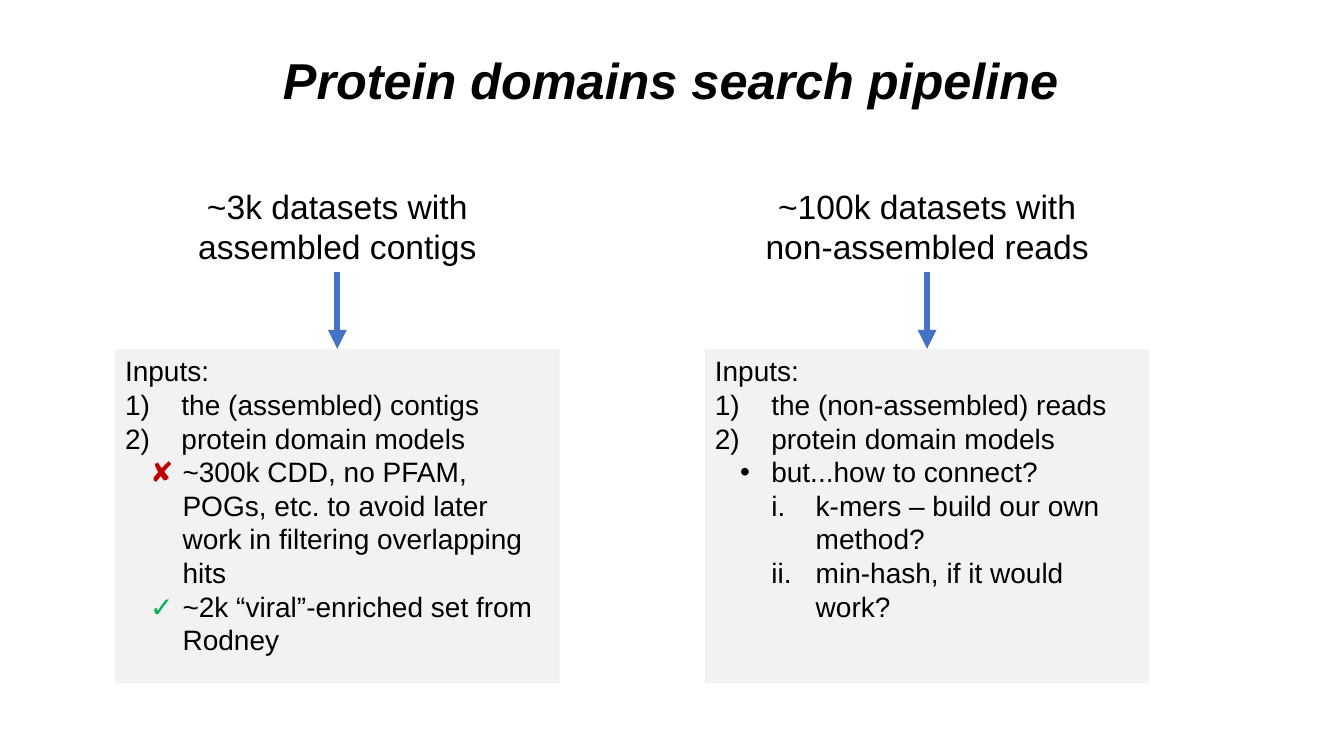
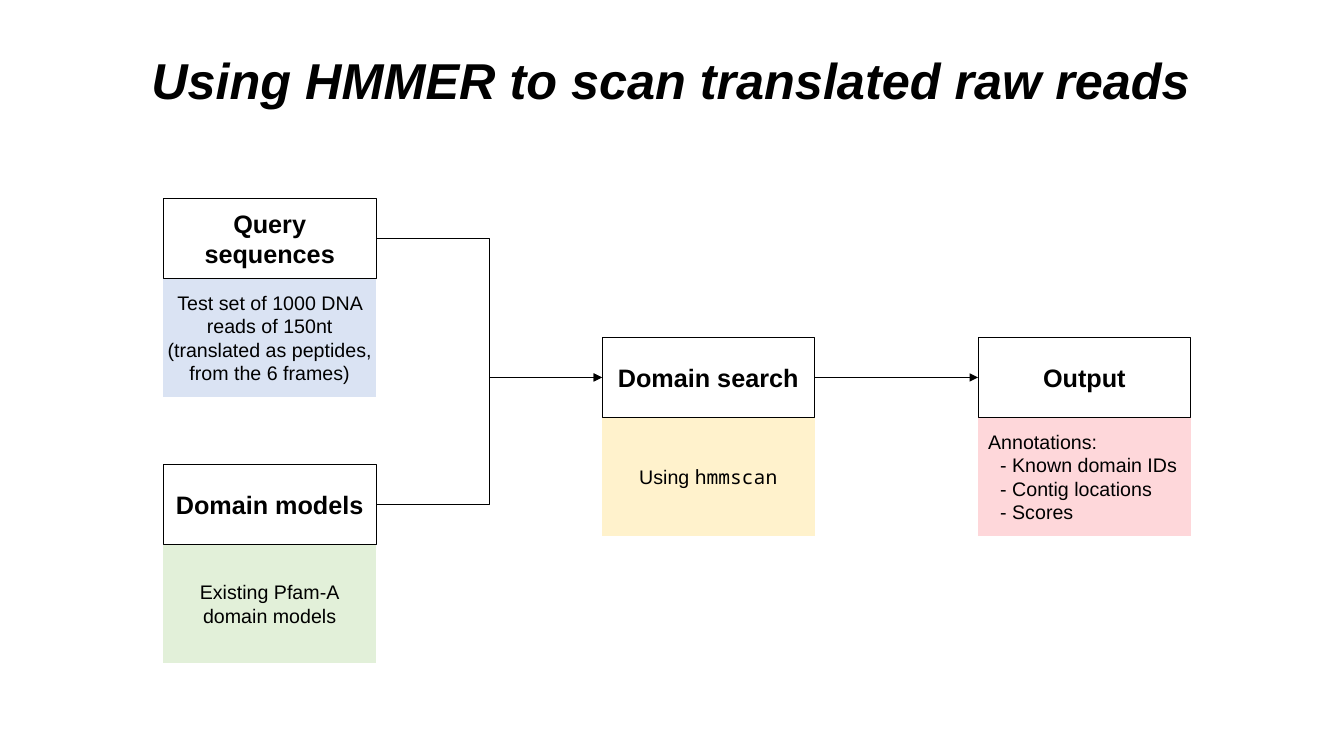
import pptx
import pptx.util
import pptx.dml.color
import pptx.enum.shapes
import pptx.enum.text
import pptx.oxml
import pptx.oxml.ns
import lxml.etree

Inches = pptx.util.Inches
Pt = pptx.util.Pt
Align = pptx.enum.text.PP_ALIGN
Anchor = pptx.enum.text.MSO_ANCHOR
Connector = pptx.enum.shapes.MSO_CONNECTOR
qn = pptx.oxml.ns.qn

BLACK, WHITE, PANEL, ARROW = "000000", "FFFFFF", "F2F2F2", "4472C4"


def color(hex_code):
    return pptx.dml.color.RGBColor.from_string(hex_code)


def style(paragraph, size, align=Align.CENTER, bold=False, italic=False):
    paragraph.alignment = align
    paragraph.space_before = Pt(0)
    font = paragraph.font
    font.name, font.size = "Arial", Pt(size)
    font.bold, font.italic = bold, italic
    font.color.rgb = color(BLACK)


deck = pptx.Presentation()
deck.slide_width, deck.slide_height = Inches(13.33), Inches(7.5)
pipeline = deck.slides.add_slide(deck.slide_layouts[3])
scan = deck.slides.add_slide(deck.slide_layouts[5])

for slide, heading in (
    (pipeline, "Protein domains search pipeline"),
    (scan, "Using HMMER to scan translated raw reads"),
):
    title = slide.shapes.title
    title.left, title.top = Inches(0.47), Inches(0.43)
    title.width, title.height = Inches(12.37), Inches(0.71)
    title.text_frame.text = heading
    title.text_frame.auto_size = pptx.enum.text.MSO_AUTO_SIZE.NONE
    title.text_frame.vertical_anchor = Anchor.MIDDLE
    style(title.text_frame.paragraphs[0], 36, bold=True, italic=True)

arrows = []

PANEL_WIDTH = 4.41
LABEL_TOP, LABEL_HEIGHT = 1.79, 0.91
PANEL_TOP, PANEL_HEIGHT = 3.46, 3.32

PLAIN = (0, 0, 0, "buNone", {})
NUMBER = (0, 0.56, -0.56, "buAutoNum", {"type": "arabicParenR"})
MARK = (1, 0.57, -0.32, "buNone", {})
DOT = (1, 0.56, -0.31, "buChar", {"char": "•"})
ROMAN = (2, 1, -0.44, "buAutoNum", {"type": "romanLcPeriod"})

datasets = [
    (1.14, "~3k datasets with\nassembled contigs", [
        (PLAIN, [("Inputs:", BLACK)]),
        (NUMBER, [("the (assembled) contigs", BLACK)]),
        (NUMBER, [("protein domain models", BLACK)]),
        (MARK, [("✘\t", "C00000"),
                ("~300k CDD, no PFAM, POGs, etc. to avoid later work "
                 "in filtering overlapping hits", BLACK)]),
        (MARK, [("✓\t", "00B050"),
                ("~2k “viral”-enriched set from Rodney", BLACK)]),
    ]),
    (6.99, "~100k datasets with\nnon-assembled reads", [
        (PLAIN, [("Inputs:", BLACK)]),
        (NUMBER, [("the (non-assembled) reads", BLACK)]),
        (NUMBER, [("protein domain models", BLACK)]),
        (DOT, [("but...how to connect?", BLACK)]),
        (ROMAN, [("k-mers – build our own method?", BLACK)]),
        (ROMAN, [("min-hash, if it would work?", BLACK)]),
    ]),
]

for (left, dataset, inputs), panel in zip(datasets, list(pipeline.placeholders)[1:]):
    label = pipeline.shapes.add_textbox(
        Inches(left), Inches(LABEL_TOP), Inches(PANEL_WIDTH), Inches(LABEL_HEIGHT))
    label.text_frame.word_wrap = True
    label.text_frame.text = dataset
    for paragraph in label.text_frame.paragraphs:
        style(paragraph, 24)

    panel.left, panel.top = Inches(left), Inches(PANEL_TOP)
    panel.width, panel.height = Inches(PANEL_WIDTH), Inches(PANEL_HEIGHT)
    panel.fill.solid()
    panel.fill.fore_color.rgb = color(PANEL)
    panel.text_frame.auto_size = pptx.enum.text.MSO_AUTO_SIZE.NONE
    for index, (layout, parts) in enumerate(inputs):
        level, margin, indent, bullet, settings = layout
        frame = panel.text_frame
        paragraph = frame.add_paragraph() if index else frame.paragraphs[0]
        paragraph.level = level
        properties = paragraph._p.get_or_add_pPr()
        properties.set("marL", str(Inches(margin)))
        properties.set("indent", str(Inches(indent)))
        lxml.etree.SubElement(properties, qn("a:" + bullet), settings)
        style(paragraph, 20, Align.LEFT)
        for words, ink in parts:
            run = paragraph.add_run()
            run.text = words
            if ink != BLACK:
                run.font.color.rgb = color(ink)

    middle = Inches(left + PANEL_WIDTH / 2)
    arrow = pipeline.shapes.add_connector(
        Connector.STRAIGHT, middle, Inches(LABEL_TOP + LABEL_HEIGHT),
        middle, Inches(PANEL_TOP))
    arrows.append((arrow, ARROW, 4.5))

CARD_WIDTH, HEAD_HEIGHT, DETAIL_HEIGHT = 2.11, 0.79, 1.18
INPUT_LEFT, SEARCH_LEFT, OUTPUT_LEFT = 1.62, 5.97, 9.7
QUERY_TOP, SEARCH_TOP, MODELS_TOP = 1.97, 3.35, 4.61

steps = [
    (INPUT_LEFT, QUERY_TOP, "Query\nsequences", "DAE3F3", Align.CENTER,
     "Test set of 1000 DNA reads of 150nt (translated as peptides, from the 6 frames)"),
    (INPUT_LEFT, MODELS_TOP, "Domain models", "E2F0D9", Align.CENTER,
     "Existing Pfam-A\ndomain models"),
    (SEARCH_LEFT, SEARCH_TOP, "Domain search", "FFF2CC", Align.CENTER, "Using "),
    (OUTPUT_LEFT, SEARCH_TOP, "Output", "FED7DA", Align.LEFT,
     "Annotations:\n- Known domain IDs\n- Contig locations\n- Scores"),
]

heads, details = [], []
for left, top, name, tint, align, description in steps:
    for part_top, height, fill, words, size, side, cards in (
        (top + HEAD_HEIGHT, DETAIL_HEIGHT, tint, description, 14, align, details),
        (top, HEAD_HEIGHT, WHITE, name, 18, Align.CENTER, heads),
    ):
        card = scan.shapes.add_shape(
            pptx.enum.shapes.MSO_SHAPE.FLOWCHART_PROCESS,
            Inches(left), Inches(part_top), Inches(CARD_WIDTH), Inches(height))
        card.shadow.inherit = False
        card.fill.solid()
        card.fill.fore_color.rgb = color(fill)
        if cards is heads:
            card.line.color.rgb = color(BLACK)
            card.line.width = Pt(0.5)
        else:
            card.line.fill.background()
        frame = card.text_frame
        frame.margin_left = frame.margin_right = 0
        frame.margin_top = frame.margin_bottom = 0
        frame.word_wrap = True
        frame.vertical_anchor = Anchor.MIDDLE
        frame.text = words
        for paragraph in frame.paragraphs:
            style(paragraph, size, side, bold=cards is heads)
            if side == Align.LEFT:
                margin = 0.22 if paragraph.text.startswith("-") else 0.1
                paragraph._p.get_or_add_pPr().set("marL", str(Inches(margin)))
        cards.append(card)

query, models, search, output = heads
command = details[2].text_frame.paragraphs[0].add_run()
command.text = "hmmscan"
command.font.name = "Noto Sans Mono"

RIGHT_SIDE, LEFT_SIDE = 3, 1
for source, target in ((query, search), (models, search), (search, output)):
    flow = scan.shapes.add_connector(Connector.ELBOW, 0, 0, 0, 0)
    flow.begin_connect(source, RIGHT_SIDE)
    flow.end_connect(target, LEFT_SIDE)
    arrows.append((flow, BLACK, 0.5))

for arrow, ink, width in arrows:
    arrow.line.color.rgb = color(ink)
    arrow.line.width = Pt(width)
    lxml.etree.SubElement(arrow.line._get_or_add_ln(), qn("a:tailEnd"), {"type": "triangle"})
    lxml.etree.SubElement(arrow._element.spPr, qn("a:effectLst"))

deck.save("out.pptx")
